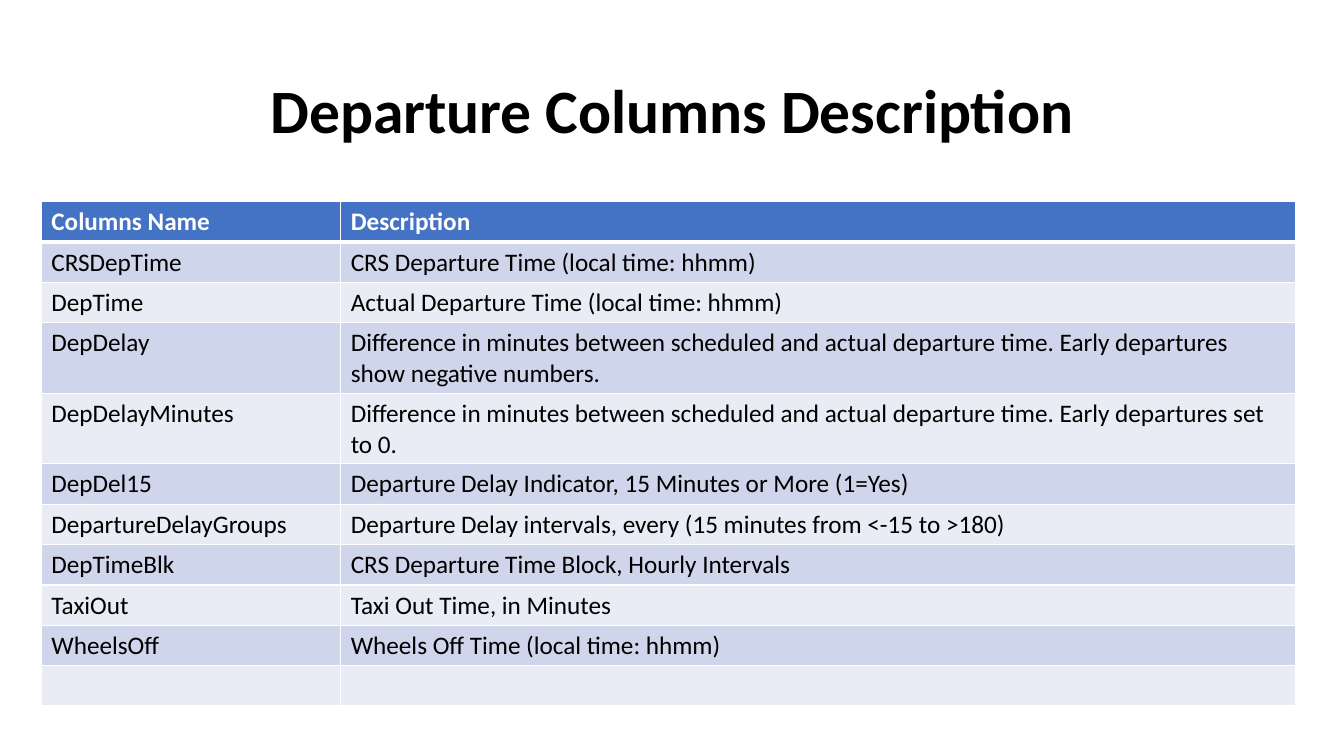
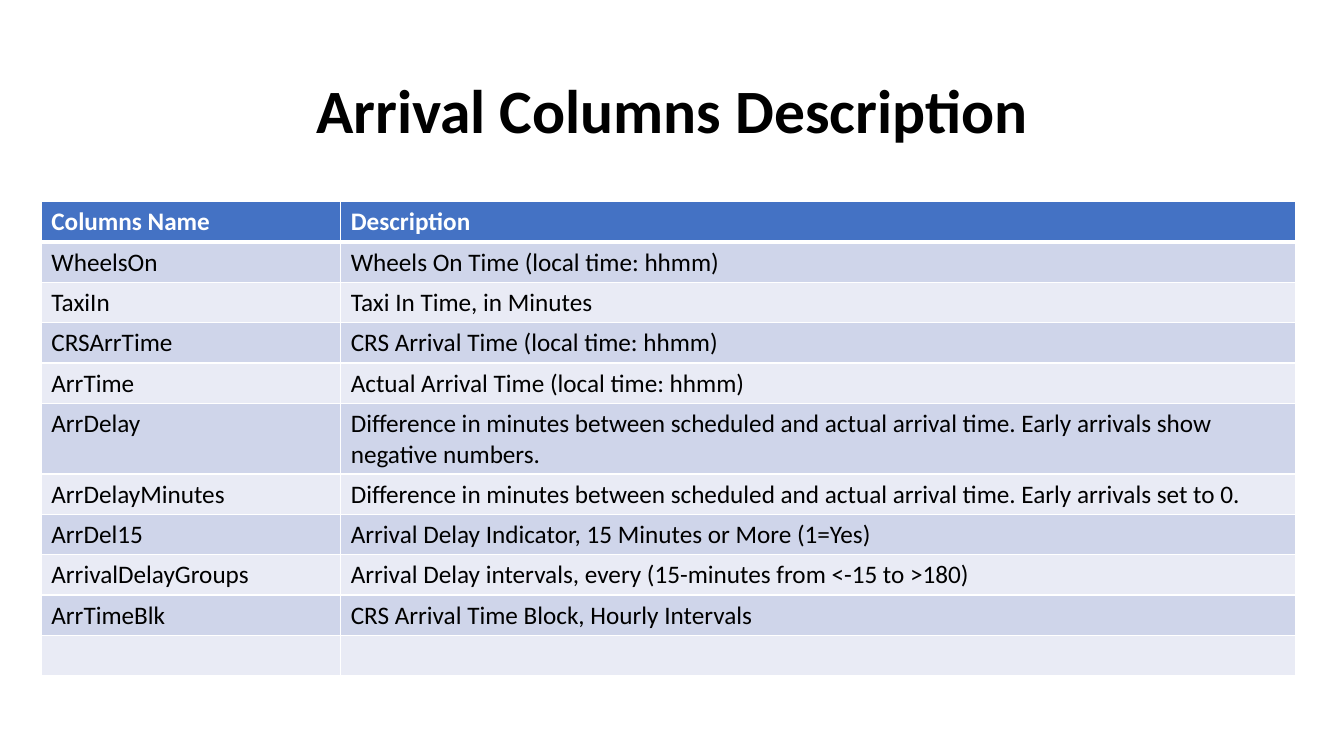
from lxml import etree
from pptx import Presentation
from pptx.dml.color import RGBColor
from pptx.enum import text
from pptx.oxml import ns
from pptx.util import Inches, Pt

BLACK = RGBColor(0x00, 0x00, 0x00)
WHITE = RGBColor(0xFF, 0xFF, 0xFF)
HEADER_BLUE = RGBColor(0x44, 0x72, 0xC4)
BAND_DARK = RGBColor(0xCF, 0xD5, 0xEA)
BAND_LIGHT = RGBColor(0xE9, 0xEB, 0xF5)
FONT = "Calibri"

HEADINGS = ("Columns Name", "Description")
COLUMN_WIDTHS = (2.97, 9.47)
ROW_HEIGHT = 0.4

# Slide title and its rows of column name and description
CONTENT = [
    ("Departure Columns Description", [
        ("CRSDepTime", "CRS Departure Time (local time: hhmm)"),
        ("DepTime", "Actual Departure Time (local time: hhmm)"),
        ("DepDelay", "Difference in minutes between scheduled and actual departure time. "
                     "Early departures show negative numbers."),
        ("DepDelayMinutes", "Difference in minutes between scheduled and actual departure time. "
                            "Early departures set to 0."),
        ("DepDel15", "Departure Delay Indicator, 15 Minutes or More (1=Yes)"),
        ("DepartureDelayGroups", "Departure Delay intervals, every (15 minutes from <-15 to >180)"),
        ("DepTimeBlk", "CRS Departure Time Block, Hourly Intervals"),
        ("TaxiOut", "Taxi Out Time, in Minutes"),
        ("WheelsOff", "Wheels Off Time (local time: hhmm)"),
        ("", ""),
    ]),
    ("Arrival Columns Description", [
        ("WheelsOn", "Wheels On Time (local time: hhmm)"),
        ("TaxiIn", "Taxi In Time, in Minutes"),
        ("CRSArrTime", "CRS Arrival Time (local time: hhmm)"),
        ("ArrTime", "Actual Arrival Time (local time: hhmm)"),
        ("ArrDelay", "Difference in minutes between scheduled and actual arrival time. "
                     "Early arrivals show negative numbers."),
        ("ArrDelayMinutes", "Difference in minutes between scheduled and actual arrival time. "
                            "Early arrivals set to 0."),
        ("ArrDel15", "Arrival Delay Indicator, 15 Minutes or More (1=Yes)"),
        ("ArrivalDelayGroups", "Arrival Delay intervals, every (15-minutes from <-15 to >180)"),
        ("ArrTimeBlk", "CRS Arrival Time Block, Hourly Intervals"),
        ("", ""),
    ]),
]


def write(frame, words, size=18, color=BLACK, bold=False, align=None, spacing=None):
    paragraph = frame.paragraphs[0]
    paragraph.alignment = align
    paragraph.line_spacing = spacing
    paragraph.font.size = Pt(size)
    if words:
        run = paragraph.add_run()
        run.text = words
        run.font.name = FONT
        run.font.size = Pt(size)
        run.font.bold = bold
        run.font.color.rgb = color


def set_borders(cell, color, **widths):
    """Draw the sides L, R, T and B (in that order), before the cell gets its fill."""
    properties = cell._tc.get_or_add_tcPr()
    for side, width in widths.items():
        line = etree.SubElement(properties, ns.qn(f"a:ln{side}"), w=str(Pt(width)))
        fill = etree.SubElement(line, ns.qn("a:solidFill"))
        etree.SubElement(fill, ns.qn("a:srgbClr"), val=str(color))


prs = Presentation()
prs.slide_width = Inches(13.33)
prs.slide_height = Inches(7.5)

for heading, entries in CONTENT:
    slide = prs.slides.add_slide(prs.slide_layouts[6])

    # Title
    title = slide.shapes.add_textbox(Inches(0.92), Inches(0.4), Inches(11.5), Inches(1.45)).text_frame
    title.word_wrap = True
    title.vertical_anchor = text.MSO_ANCHOR.MIDDLE
    write(title, heading, size=44, bold=True, align=text.PP_ALIGN.CENTER, spacing=0.9)

    # Table of columns
    rows = [HEADINGS] + entries
    columns_table = slide.shapes.add_table(
        len(rows), len(HEADINGS), Inches(0.41), Inches(2),
        Inches(sum(COLUMN_WIDTHS)), Inches(ROW_HEIGHT * len(rows))).table
    for column, width in zip(columns_table.columns, COLUMN_WIDTHS):
        column.width = Inches(width)

    for r, row in enumerate(rows):
        columns_table.rows[r].height = Inches(ROW_HEIGHT)
        is_header = r == 0
        band = HEADER_BLUE if is_header else BAND_DARK if r % 2 else BAND_LIGHT
        for c, words in enumerate(row):
            cell = columns_table.cell(r, c)
            set_borders(cell, WHITE, L=1, R=1, T=3 if r == 1 else 1, B=3 if is_header else 1)
            cell.fill.solid()
            cell.fill.fore_color.rgb = band
            write(cell.text_frame, words, color=WHITE if is_header else BLACK, bold=is_header)

prs.save("out.pptx")
